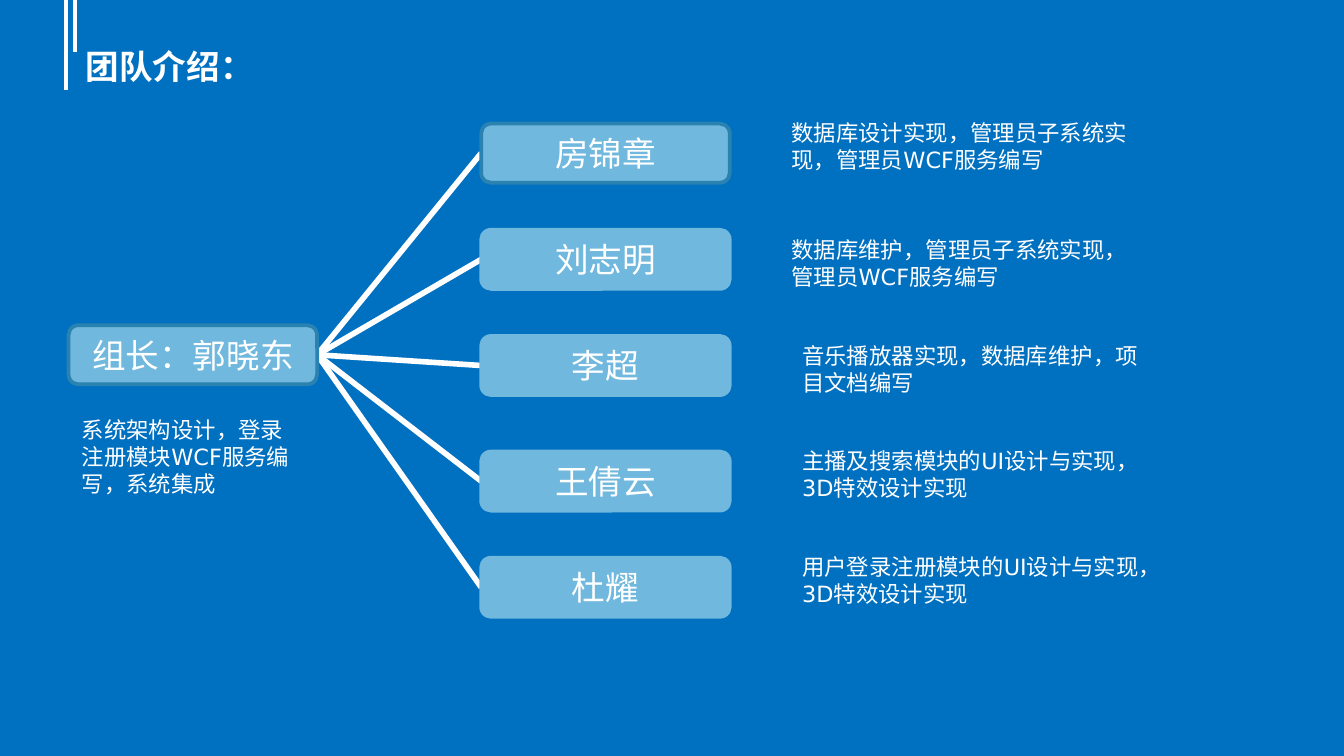
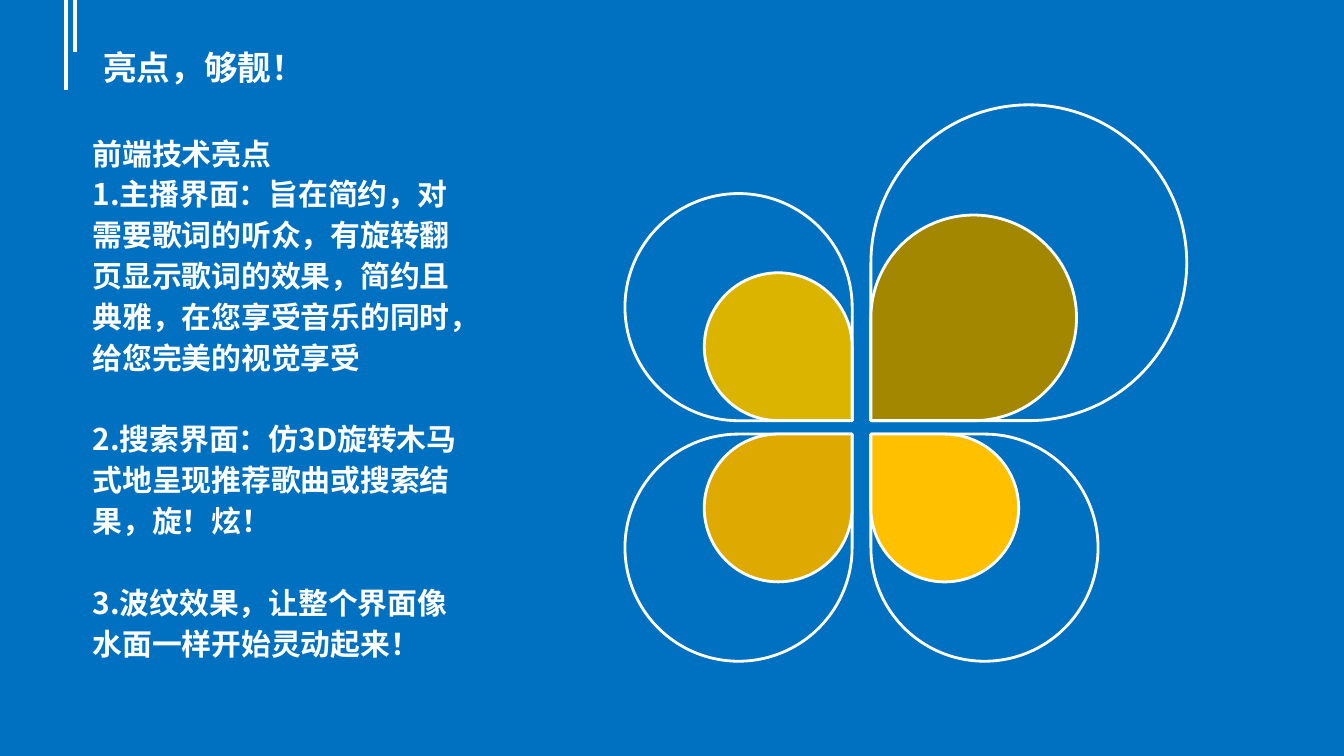
from dataclasses import dataclass
from lxml import etree
from pptx import Presentation
from pptx import util as u
from pptx.dml import color
from pptx.enum import shapes, text
from pptx.oxml import ns

Inches, Pt = u.Inches, u.Pt
rgb = color.RGBColor.from_string


@dataclass(frozen=True)
class Theme:
    back: str = "0070C0"
    white: str = "FFFFFF"
    box: str = "70B8DD"
    edge: str = "2A82B0"
    latin: str = "DejaVu Sans"
    asian: str = "Noto Sans CJK SC"
    head: int = 18
    body: int = 16
    note: int = 12


theme = Theme()


def write(shape, lines, size, face, bold=False, align=None, lead=None):
    frame = shape.text_frame
    frame.word_wrap = True
    for i, (words, gap) in enumerate(lines):
        para = frame.paragraphs[0] if i == 0 else frame.add_paragraph()
        para.alignment = align
        para.line_spacing = lead
        if gap:
            para.space_before = Pt(gap)
        run = para.add_run()
        run.text = words
        font = run.font
        font.name, font.size, font.bold = face, Pt(size), bold
        font.color.rgb = rgb(theme.white)
        ea = etree.SubElement(run._r.get_or_add_rPr(), ns.qn("a:ea"))
        ea.set("typeface", theme.asian)


def link(slide, x1, y1, x2, y2, width):
    line = slide.shapes.add_connector(
        shapes.MSO_CONNECTOR.STRAIGHT, Inches(x1), Inches(y1), Inches(x2), Inches(y2))
    line.line.color.rgb = rgb(theme.white)
    line.line.width = Pt(width)
    etree.SubElement(line._element.spPr, ns.qn("a:effectLst"))
    return line


deck = Presentation()
deck.slide_width = Inches(10)
deck.slide_height = deck.slide_width * 9 // 16

pages = []
for title, left, top in (("团队介绍：", 0.54, 0.21), ("亮点，够靓！", 0.67, 0.22)):
    page = deck.slides.add_slide(deck.slide_layouts[6])
    page.background.fill.solid()
    page.background.fill.fore_color.rgb = rgb(theme.back)
    for x, end in ((0.49, 0.67), (0.56, 0.39)):
        link(page, x, 0, x, end, 2.25)
    box = page.shapes.add_textbox(Inches(left), Inches(top), Inches(8.8), Inches(0.56))
    box.text_frame.vertical_anchor = text.MSO_ANCHOR.MIDDLE
    write(box, [(title, 0)], theme.head, theme.latin, bold=True)
    pages.append(page)
team, show = pages

people = (
    ("房锦章", 3.58, 0.92, theme.edge),
    ("刘志明", 3.58, 1.71, theme.box),
    ("李超", 3.58, 2.5, theme.box),
    ("王倩云", 3.58, 3.36, theme.box),
    ("杜耀", 3.58, 4.15, theme.box),
    ("组长：郭晓东", 0.51, 2.42, theme.edge),
)
lines = [link(team, 2.36, 2.64, x, y + 0.22, 3) for _, x, y, _ in people[:-1]]
cards = []
for name, x, y, edge in people:
    card = team.shapes.add_shape(
        shapes.MSO_SHAPE.ROUNDED_RECTANGLE, Inches(x), Inches(y), Inches(1.85), Inches(0.44))
    card.shadow.inherit = False
    card.fill.solid()
    card.fill.fore_color.rgb = rgb(theme.box)
    card.line.color.rgb = rgb(edge)
    card.line.width = Pt(2)
    card.text_frame.vertical_anchor = text.MSO_ANCHOR.MIDDLE
    write(card, [(name, 0)], theme.head, theme.asian, align=text.PP_ALIGN.CENTER)
    cards.append(card)

*staff, chief = cards
for line, card in zip(lines, staff):
    line.begin_connect(chief, 3)
    line.end_connect(card, 1)

duties = (
    ("数据库设计实现，管理员子系统实现，管理员WCF服务编写", 5.79, 0.84, 2.75, 0.5),
    ("数据库维护，管理员子系统实现，管理员WCF服务编写", 5.79, 1.71, 2.75, 0.5),
    ("音乐播放器实现，数据库维护，项目文档编写", 5.87, 2.5, 2.75, 0.5),
    ("主播及搜索模块的UI设计与实现，3D特效设计实现", 5.87, 3.28, 2.75, 0.5),
    ("用户登录注册模块的UI设计与实现，3D特效设计实现", 5.87, 4.07, 2.75, 0.5),
    ("系统架构设计，登录注册模块WCF服务编写，系统集成", 0.51, 3.05, 1.81, 0.7),
)
for duty, *rect in duties:
    box = team.shapes.add_textbox(*map(Inches, rect))
    write(box, [(duty, 0)], theme.note, theme.latin)

petals = (
    (6.48, 3.13, 0, -1, 180, 2.35, 1.53, "A48700"),
    (6.48, 3.23, 0, 0, 270, 1.69, 1.1, "FFC000"),
    (6.34, 3.23, -1, 0, 0, 1.69, 1.1, "DEA900"),
    (6.34, 3.13, -1, -1, 90, 1.69, 1.1, "DBB400"),
)
for x, y, across, down, turn, outer, inner, tint in petals:
    for size in (outer, inner):
        drop = show.shapes.add_shape(
            shapes.MSO_SHAPE.TEAR, Inches(x + across * size), Inches(y + down * size),
            Inches(size), Inches(size))
        drop.rotation = turn
        drop.shadow.inherit = False
        drop.line.color.rgb = rgb(theme.white)
        drop.line.width = Pt(1.5)
        if size == inner:
            drop.fill.solid()
            drop.fill.fore_color.rgb = rgb(tint)
        else:
            drop.fill.background()

points = (
    ("前端技术亮点", 0),
    ("1.主播界面：旨在简约，对需要歌词的听众，有旋转翻页显示歌词的效果，简约且典雅，在您享受音乐的同时，给您完美的视觉享受", 0),
    ("2.搜索界面：仿3D旋转木马式地呈现推荐歌曲或搜索结果，旋！炫！", 22),
    ("3.波纹效果，让整个界面像水面一样开始灵动起来！", 22),
)
box = show.shapes.add_textbox(Inches(0.59), Inches(0.92), Inches(2.98), Inches(4.96))
write(box, points, theme.body, theme.asian, bold=True, lead=1.14)

deck.save("out.pptx")
